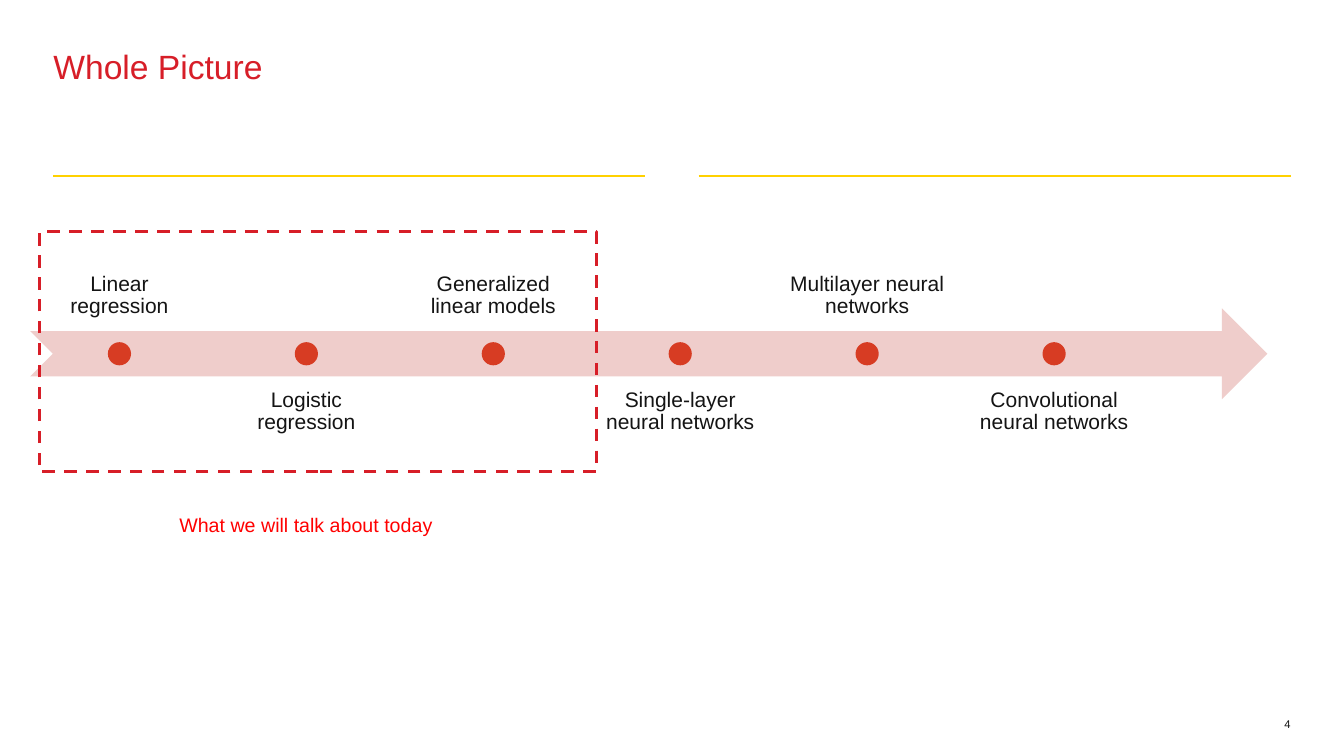
from lxml.etree import SubElement
from pptx import Presentation
from pptx.dml.color import RGBColor
from pptx.enum.dml import MSO_LINE
from pptx.enum.shapes import MSO_CONNECTOR, MSO_SHAPE
from pptx.enum.text import MSO_ANCHOR as Anchor, MSO_AUTO_SIZE as AutoSize, PP_ALIGN as Align
from pptx.oxml.ns import qn
from pptx.util import Inches, Pt

TITLE = "Whole Picture"
CAPTION = "What we will talk about today"
PAGE_NUMBER = "4"
STAGES = [
    "Linear regression",
    "Logistic regression",
    "Generalized linear models",
    "Single-layer neural networks",
    "Multilayer neural networks",
    "Convolutional neural networks",
]
COLORS = {
    "title": "D71E28",
    "rule": "FFD100",
    "text": "141414",
    "arrow": "EFCDCB",
    "dot": "D73C23",
    "caption": "FF0000",
}
FONT = "Arial"
RULE_Y = 1.75
RULES = [(0.53, 6.4), (6.93, 12.8)]
ARROW = (0.3, 3.06, 12.27, 0.9)
FOCUS = (0.39, 2.3, 5.53, 2.38)
LABEL_WIDTH, LABEL_HEIGHT = 1.77, 0.9
LABEL_TOPS = (2.38, 3.74)
LAST_LABEL_LEFT = 9.57
DOT = 0.23


def color(name):
    return RGBColor.from_string(COLORS[name])


def write(shape, text, size, tone, align=Align.LEFT, anchor=Anchor.TOP, inset=None, spacing=None):
    frame = shape.text_frame
    frame.word_wrap = True
    frame.vertical_anchor = anchor
    if inset is not None:
        frame.margin_left = frame.margin_right = Inches(inset)
        frame.margin_top = frame.margin_bottom = Inches(inset)
    para = frame.paragraphs[0]
    para.alignment = align
    if spacing:
        para.line_spacing = spacing
    span = para.add_run()
    span.text = text
    span.font.name = FONT
    span.font.size = Pt(size)
    span.font.color.rgb = color(tone)
    return frame


def add_box(page, place, *args, **options):
    box = page.shapes.add_textbox(*map(Inches, place))
    return write(box, *args, **options)


def add_shape(page, kind, place, fill=None):
    shape = page.shapes.add_shape(kind, *map(Inches, place))
    shape.shadow.inherit = False
    if fill:
        shape.fill.solid()
        shape.fill.fore_color.rgb = color(fill)
    else:
        shape.fill.background()
    shape.line.fill.background()
    return shape


def add_rule(page, left, right):
    ends = map(Inches, (left, RULE_Y, right, RULE_Y))
    rule = page.shapes.add_connector(MSO_CONNECTOR.STRAIGHT, *ends)
    rule.line.color.rgb = color("rule")
    rule.line.width = Pt(1.5)
    SubElement(rule._element.spPr, qn("a:effectLst"))


def add_timeline(page):
    left, top, width, height = ARROW
    add_shape(page, MSO_SHAPE.NOTCHED_RIGHT_ARROW, ARROW, "arrow")
    step = (LAST_LABEL_LEFT - left) / (len(STAGES) - 1)
    for index, stage in enumerate(STAGES):
        below = index % 2
        label_left = left + index * step
        add_box(
            page, (label_left, LABEL_TOPS[below], LABEL_WIDTH, LABEL_HEIGHT),
            stage, 15, "text", Align.CENTER,
            Anchor.TOP if below else Anchor.BOTTOM, inset=0.12, spacing=0.9,
        )
        dot_left = label_left + (LABEL_WIDTH - DOT) / 2
        dot_top = top + (height - DOT) / 2
        add_shape(page, MSO_SHAPE.OVAL, (dot_left, dot_top, DOT, DOT), "dot")


def main():
    deck = Presentation()
    deck.slide_width, deck.slide_height = Inches(13.33), Inches(7.5)
    page = deck.slides.add_slide(deck.slide_layouts[5])

    for left, right in RULES:
        add_rule(page, left, right)

    title = page.shapes.title
    title.left, title.top = Inches(0.53), Inches(0.5)
    title.width, title.height = Inches(12.27), Inches(1.1)
    write(title, TITLE, 24, "title", inset=0, spacing=0.9)
    add_box(page, (12.27, 7, 0.53, 0.25), PAGE_NUMBER, 8, "text",
            Align.RIGHT, Anchor.BOTTOM, inset=0)

    add_timeline(page)

    focus = add_shape(page, MSO_SHAPE.RECTANGLE, FOCUS)
    focus.line.color.rgb = color("title")
    focus.line.width = Pt(2.25)
    focus.line.dash_style = MSO_LINE.DASH

    caption = add_box(page, (1.68, 5.04, 2.73, 0.34), CAPTION, 14, "caption")
    caption.word_wrap = False
    caption.auto_size = AutoSize.SHAPE_TO_FIT_TEXT

    deck.save("out.pptx")


if __name__ == "__main__":
    main()
